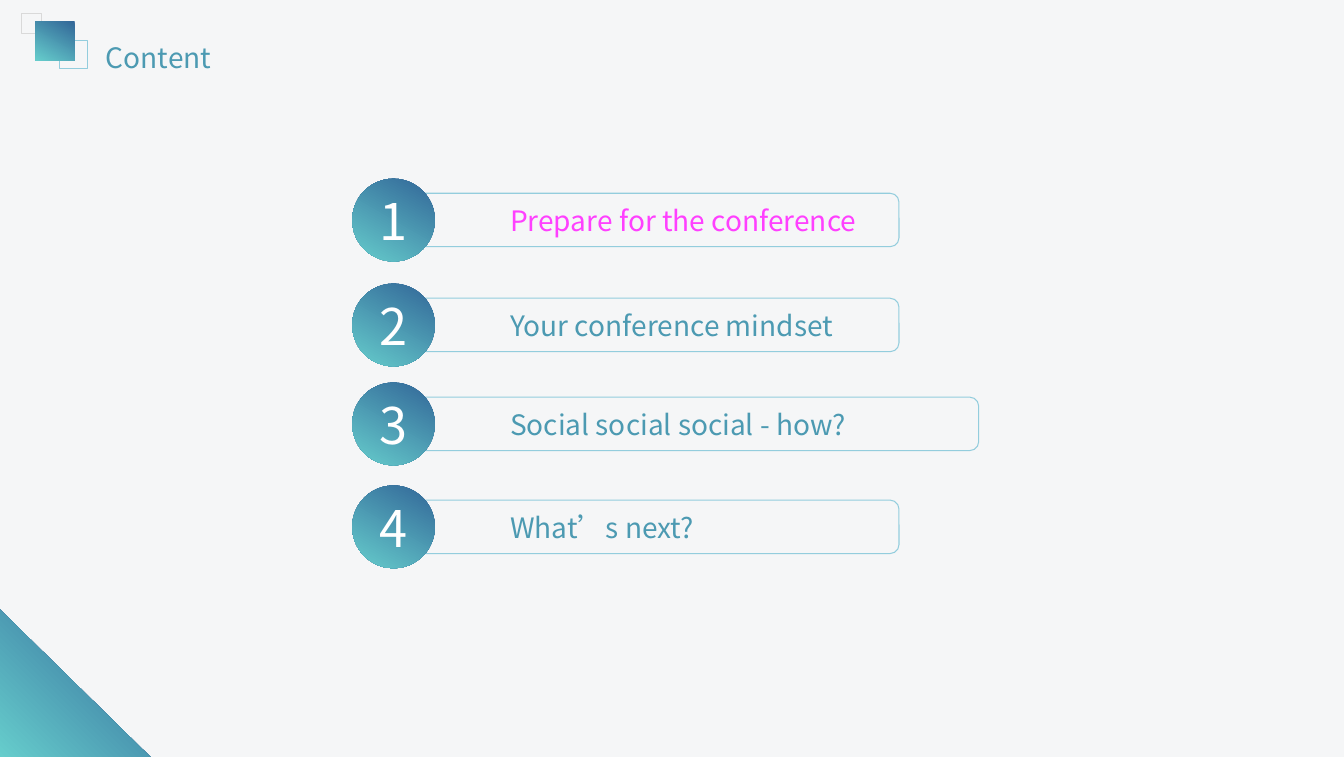
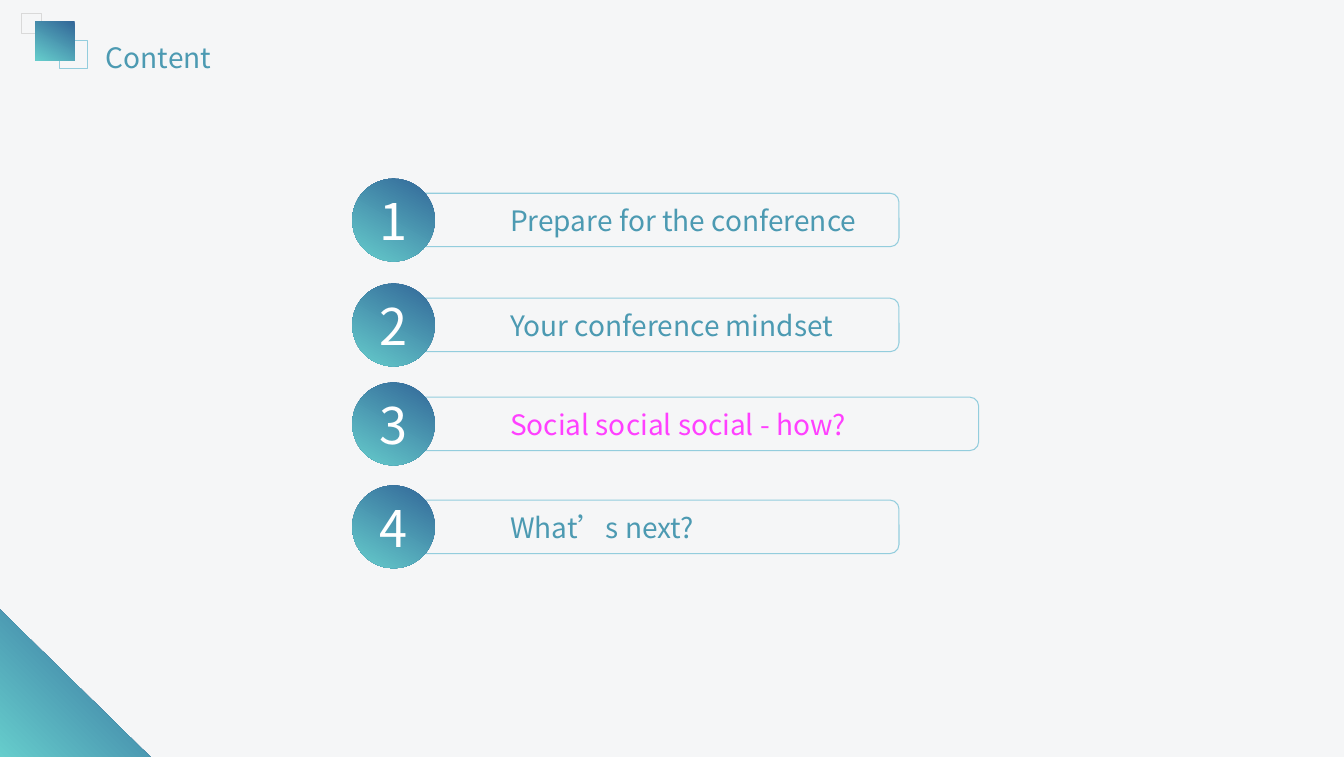
from pptx import Presentation
from pptx.dml.color import RGBColor
from pptx.enum.shapes import MSO_SHAPE
from pptx.enum.text import MSO_ANCHOR, PP_ALIGN
from pptx.util import Inches, Pt

WIDE, HIGH = 13.32, 7.5
FONT = "Noto Sans CJK SC"
PAPER = RGBColor(0xF5, 0xF6, 0xF7)
NAVY = RGBColor(0x32, 0x66, 0x98)
MINT = RGBColor(0x66, 0xCD, 0xCC)
TEAL = RGBColor(0x4C, 0x9A, 0xB2)
SKY = RGBColor(0x93, 0xCD, 0xDD)
GREY = RGBColor(0xD9, 0xD9, 0xD9)
PINK = RGBColor(0xFF, 0x40, 0xFF)
WHITE = RGBColor(0xFF, 0xFF, 0xFF)

LEFT = 3.49
DISC = 0.82
BAR = 0.53
SHORT, LONG = 5.18, 5.97
ITEMS = [
    ("Prepare for the conference", 1.77, SHORT),
    ("Your conference mindset", 2.81, SHORT),
    ("Social social social - how?", 3.79, LONG),
    ("What’s next?", 4.81, SHORT),
]


def add(slide, kind, x, y, w, h):
    shape = slide.shapes.add_shape(kind, Inches(x), Inches(y), Inches(w), Inches(h))
    shape.shadow.inherit = False
    return shape


def frame(slide, kind, box, color):
    shape = add(slide, kind, *box)
    shape.fill.background()
    shape.line.color.rgb = color
    shape.line.width = Pt(0.75)
    return shape


def blend(slide, kind, box, angle):
    shape = add(slide, kind, *box)
    shape.line.fill.background()
    shape.fill.gradient()
    shape.fill.gradient_angle = 360 - angle
    for stop, color in zip(shape.fill.gradient_stops, (NAVY, MINT)):
        stop.color.rgb = color
    return shape


def write(shape, text, size, color, align=PP_ALIGN.LEFT, inset=0.05):
    body = shape.text_frame
    body.text = text
    body.word_wrap = True
    body.vertical_anchor = MSO_ANCHOR.MIDDLE
    body.margin_left = Inches(inset)
    body.margin_right = body.margin_top = body.margin_bottom = Inches(0.05)
    line = body.paragraphs[0]
    line.alignment = align
    font = line.runs[0].font
    font.name = FONT
    font.size = Pt(size)
    font.color.rgb = color


def add_head(slide, text):
    frame(slide, MSO_SHAPE.RECTANGLE, (0.59, 0.4, 0.28, 0.28), SKY)
    frame(slide, MSO_SHAPE.RECTANGLE, (0.21, 0.13, 0.2, 0.2), GREY)
    blend(slide, MSO_SHAPE.RECTANGLE, (0.35, 0.21, 0.39, 0.39), 120)
    title = slide.shapes.title
    title.left, title.top = Inches(1), Inches(0.35)
    title.width, title.height = Inches(1.97), Inches(0.43)
    write(title, text, 20, TEAL)


def add_corner(slide):
    side = 1.46
    blend(slide, MSO_SHAPE.RIGHT_TRIANGLE, (0, HIGH - side, 1.49, side), 135)


def add_item(slide, number, text, top, width, color):
    box = (LEFT + 0.24, top + (DISC - BAR) / 2, width, BAR)
    bar = frame(slide, MSO_SHAPE.ROUNDED_RECTANGLE, box, SKY)
    write(bar, text, 20, color, inset=1.3)
    disc = blend(slide, MSO_SHAPE.OVAL, (LEFT, top, DISC, DISC), 120)
    write(disc, str(number), 36, WHITE, PP_ALIGN.CENTER)


def add_agenda(deck, active):
    slide = deck.slides.add_slide(deck.slide_layouts[5])
    add_head(slide, "Content")
    add_corner(slide)
    for number, (text, top, width) in enumerate(ITEMS, 1):
        color = PINK if number == active else TEAL
        add_item(slide, number, text, top, width, color)


def main():
    deck = Presentation()
    deck.slide_width, deck.slide_height = Inches(WIDE), Inches(HIGH)
    back = deck.slide_master.background.fill
    back.solid()
    back.fore_color.rgb = PAPER
    for active in (1, 3):
        add_agenda(deck, active)
    deck.save("out.pptx")


if __name__ == "__main__":
    main()
